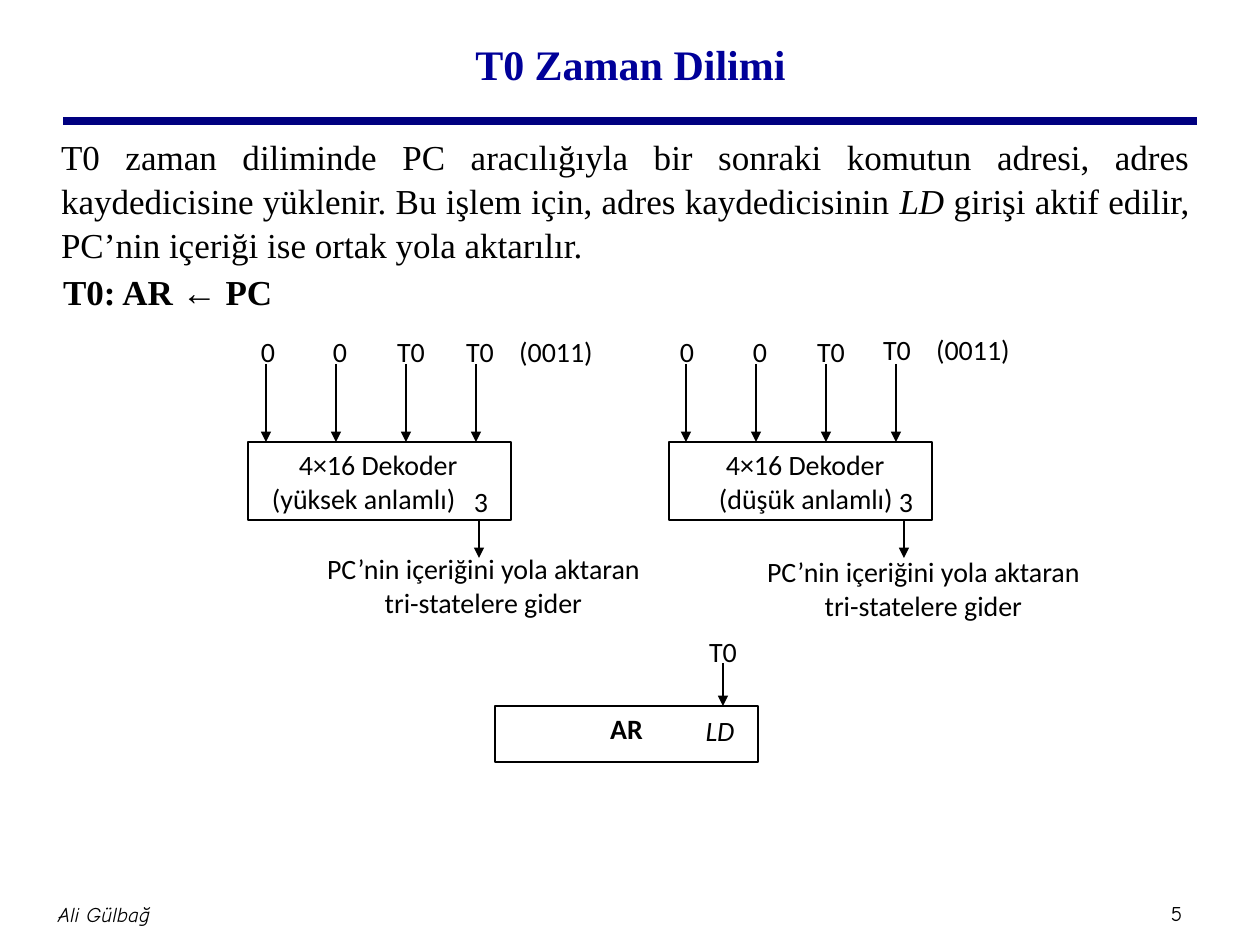
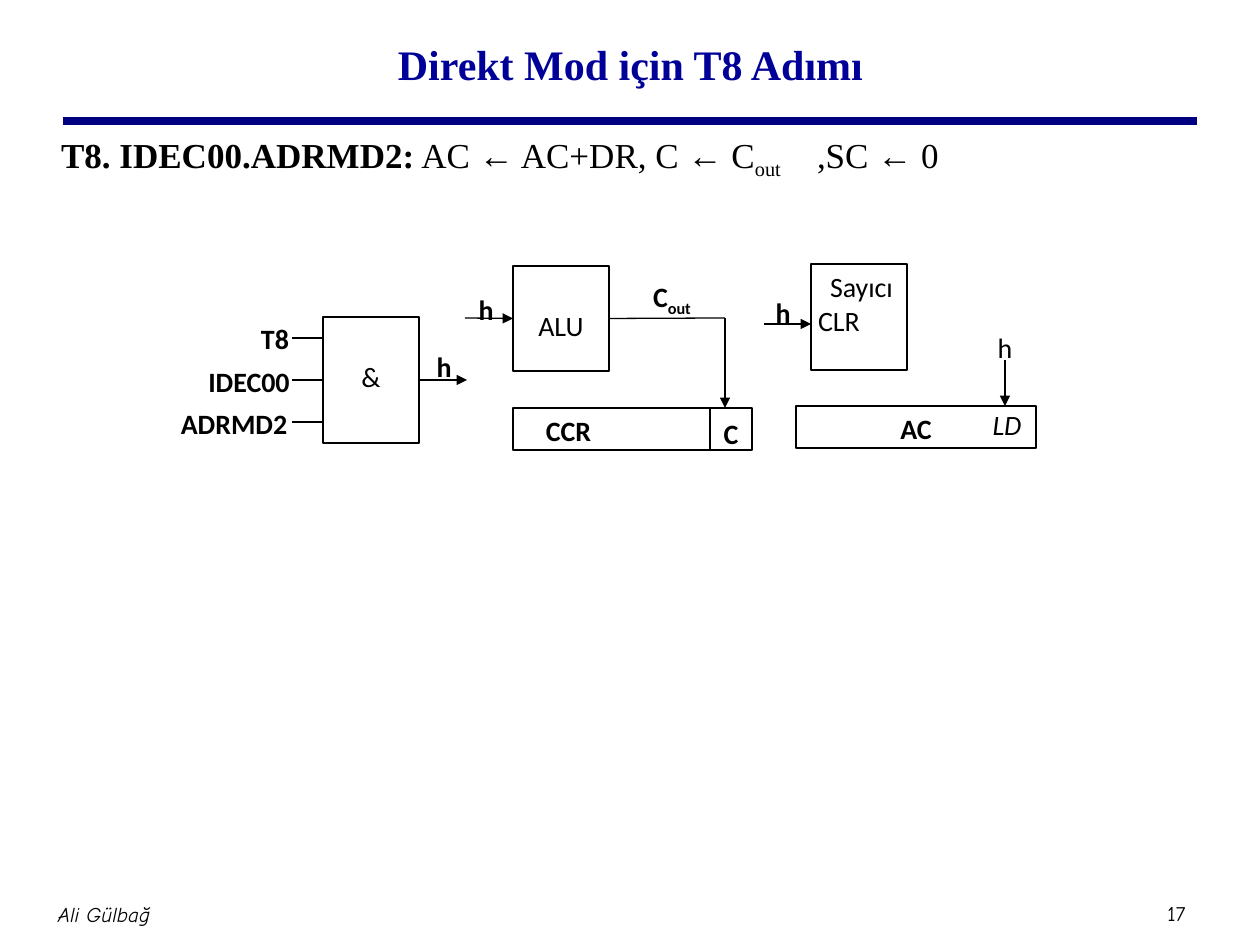
from lxml import etree
from pptx import Presentation
from pptx.dml.color import RGBColor
from pptx.enum.shapes import MSO_CONNECTOR, MSO_SHAPE
from pptx.enum.text import MSO_ANCHOR, MSO_AUTO_SIZE, PP_ALIGN
from pptx.oxml.ns import qn
from pptx.util import Pt

PX = 914400 / 126
RECT = MSO_SHAPE.RECTANGLE
LINE = MSO_CONNECTOR.STRAIGHT
TOP, MID = MSO_ANCHOR.TOP, MSO_ANCHOR.MIDDLE
LEFT, CENTER, FULL = PP_ALIGN.LEFT, PP_ALIGN.CENTER, PP_ALIGN.JUSTIFY
FIXED = MSO_AUTO_SIZE.NONE
SIDE = ("left", "top", "width", "height")
EDGE = ("margin_left", "margin_top", "margin_right", "margin_bottom")
PAD, NONE = (13, 6, 13, 6), (0, 0, 0, 0)
hue = RGBColor.from_string
BLACK, WHITE, NAVY, BLUE = "000000", "FFFFFF", "000080", "000099"

HEAD = {"name": "Times New Roman", "size": Pt(24), "bold": True}
BODY = {"name": "Times New Roman", "size": Pt(20), "bold": False}
NOTE = {"name": "Calibri", "size": Pt(16), "bold": False}
FOOT = {"name": "Comic Neue", "size": Pt(12), "bold": False}
BOLD, ITAL = {"bold": True}, {"italic": True}


def put(shape, spot, paras, look, align=CENTER, anchor=TOP, pad=PAD,
        color=BLACK, tab=None):
    """Place a shape and write paragraphs given as (indent, runs)."""
    for name, n in zip(SIDE, spot):
        setattr(shape, name, int(n * PX))
    frame = shape.text_frame
    frame.auto_size, frame.word_wrap = FIXED, True
    frame.vertical_anchor = anchor
    for name, n in zip(EDGE, pad):
        setattr(frame, name, int(n * PX))
    for i, (indent, runs) in enumerate(paras):
        para = frame.add_paragraph() if i else frame.paragraphs[0]
        props = para._p.get_or_add_pPr()
        props.set("marL", str(int(indent * PX)))
        props.set("indent", "0")
        etree.SubElement(props, qn("a:buNone"))
        if tab:
            stops = etree.SubElement(props, qn("a:tabLst"))
            etree.SubElement(stops, qn("a:tab"), pos=str(int(tab * PX)), algn="l")
        para.alignment, para.space_before = align, Pt(0)
        for words, form in runs:
            run = para.add_run()
            run.text = words
            for key, value in {**look, **form}.items():
                if key == "sub":
                    run._r.get_or_add_rPr().set("baseline", "-25000")
                else:
                    setattr(run.font, key, value)
            run.font.color.rgb = hue(color)
    return shape


def wire(slide, ends, arrow=True, start=None, stop=None, color=BLACK, width=0.75):
    """Draw a line; start and stop are (box, side) joints."""
    line = slide.shapes.add_connector(LINE, *[int(n * PX) for n in ends])
    if start:
        line.begin_connect(*start)
    if stop:
        line.end_connect(*stop)
    line.line.color.rgb, line.line.width = hue(color), Pt(width)
    if arrow:
        etree.SubElement(line.line._get_or_add_ln(), qn("a:tailEnd"), type="triangle")
    etree.SubElement(line.element.spPr, qn("a:effectLst"))
    return line


deck = Presentation()
deck.slide_width, deck.slide_height = int(1260 * PX), int(945 * PX)
layout = deck.slide_layouts[1]
for spare in list(layout.placeholders)[2:]:
    spare.element.getparent().remove(spare.element)

# Titles, body text and page numbers
pages = [
    ("T0 Zaman Dilimi", "5", 170, FULL, 1.05, None, [
        ("T0 zaman diliminde PC aracılığıyla bir sonraki komutun adresi, adres "
         "kaydedicisine yüklenir. Bu işlem için, adres kaydedicisinin ", {}),
        ("LD", ITAL),
        (" girişi aktif edilir, PC’nin içeriği ise ortak yola aktarılır.", {})]),
    ("Direkt Mod için T8 Adımı", "17", 699, LEFT, 1, 734, [
        ("T8. IDEC00.ADRMD2:", BOLD), (" AC ← AC+DR, C ← C", {}),
        ("out", {"sub": True}), ("\t,SC ← 0", {})]),
]
slides = []
for title, number, high, align, pitch, tab, runs in pages:
    slide = deck.slides.add_slide(layout)
    if not slides:
        # Rule and author, shared through the layout
        rule = wire(slide, (63, 121, 1197, 121), False, color=NAVY, width=4.5)
        name = put(slide.shapes.add_textbox(0, 0, 0, 0), (34, 897, 140, 34),
                   [(0, [("Ali Gülbağ", ITAL)])], FOOT, anchor=MID, pad=NONE)
        for part in (rule, name):
            layout.shapes.element.append(part.element)
    put(slide.shapes.title, (95, 10, 1071, 108), [(0, [(title, {})])], HEAD,
        anchor=MID, color=BLUE)
    body = put(slide.placeholders[1], (48, 127, 1155, high), [(0, runs)], BODY,
               align, tab=tab)
    body.text_frame.paragraphs[0].line_spacing = pitch
    put(slide.shapes.add_textbox(0, 0, 0, 0), (1147, 896, 59, 34),
        [(0, [(number, {})])], FOOT, anchor=MID, pad=NONE)
    slides.append(slide)
first, second = slides

put(first.shapes.add_textbox(0, 0, 0, 0), (50, 264, 244, 55),
    [(0, [("T0: AR ← PC", BOLD)])], BODY, LEFT)

# Boxes: slide, name, place, paragraphs, alignment, anchor, padding
boxes = [
    (first, "high", (248, 442, 263, 78),
     [(38, [("4×16 Dekoder", {})]), (11, [("(yüksek anlamlı)", {})])], LEFT, TOP, PAD),
    (first, "low", (669, 442, 263, 78),
     [(44, [("4×16 Dekoder", {})]), (37, [("(düşük anlamlı)", {})])], LEFT, TOP, PAD),
    (first, "AR", (495, 706, 263, 56), [(0, [("AR", BOLD)])], CENTER, TOP, PAD),
    (second, "and", (323, 317, 96, 126), [(0, [("&", {})])], CENTER, MID, (0, 0, 0, 8)),
    (second, "ALU", (513, 266, 96, 105), [(0, [("ALU", {})])], CENTER, MID, (0, 13, 0, 0)),
    (second, "count", (811, 264, 96, 106),
     [(19, [("Sayıcı", {})]), (7, [("CLR", {})])], LEFT, TOP, (0, 6, 0, 6)),
    (second, "CCR", (513, 408, 239, 42), [(20, [("CCR", BOLD)])], LEFT, TOP, PAD),
    (second, "AC", (796, 406, 240, 42), [(0, [("AC", BOLD)])], CENTER, TOP, PAD),
]
box = {}
for slide, key, spot, paras, align, anchor, pad in boxes:
    shape = slide.shapes.add_shape(RECT, 0, 0, 0, 0)
    shape.shadow.inherit = False
    shape.fill.solid()
    shape.fill.fore_color.rgb = hue(WHITE)
    shape.line.color.rgb, shape.line.width = hue(BLACK), Pt(0.75)
    box[key] = put(shape, spot, paras, NOTE, align, anchor, pad)

# Decoder inputs, outputs and notes
for left, out, spot in ((266, 479, (311, 546, 345, 97)),
                        (686, 904, (746, 549, 355, 97))):
    for i in range(4):
        wire(first, (left + 70 * i, 364, left + 70 * i, 442))
    wire(first, (out, 520, out, 558))
    put(first.shapes.add_textbox(0, 0, 0, 0), spot,
        [(0, [("PC’nin içeriğini yola aktaran tri-statelere gider", {})])], NOTE)

# Other wires
wire(first, (723, 663, 723, 706))
for y in (338, 380, 422):
    wire(second, (292, y, 323, y), False, stop=(box["and"], 1) if y == 380 else None)
wire(second, (419, 380, 467, 380), start=(box["and"], 3))
wire(second, (465, 318, 513, 318), stop=(box["ALU"], 1))
wire(second, (609, 318, 725, 318), False, start=(box["ALU"], 3))
wire(second, (725, 318, 725, 408))
wire(second, (764, 324, 811, 324))
wire(second, (1005, 360, 1005, 406))
wire(second, (710, 408, 710, 450), False)

# Labels: text, middle x, middle y, width, format
labels = [
    (first, [
        ("0", 268, 351, 40, {}), ("0", 340, 351, 40, {}), ("T0", 411, 351, 50, {}),
        ("T0", 480, 351, 50, {}), ("(0011)", 556, 351, 90, {}),
        ("0", 687, 351, 40, {}), ("0", 760, 351, 40, {}), ("T0", 831, 351, 50, {}),
        ("T0", 897, 349, 50, {}), ("(0011)", 973, 349, 90, {}),
        ("3", 481, 501, 30, {}), ("3", 906, 501, 30, {}),
        ("T0", 723, 651, 50, {}), ("LD", 720, 730, 50, ITAL)]),
    (second, [
        ("T8", 275, 338, 50, BOLD), ("IDEC00", 249, 381, 100, BOLD),
        ("ADRMD2", 234, 423, 120, BOLD), ("h", 444, 366, 30, BOLD),
        ("h", 486, 309, 30, BOLD), ("h", 783, 312, 30, BOLD),
        ("C", 731, 433, 30, BOLD), ("h", 1005, 347, 30, {}),
        ("LD", 1007, 424, 50, ITAL)]),
]
for slide, tags in labels:
    for words, x, y, wide, form in tags:
        put(slide.shapes.add_textbox(0, 0, 0, 0), (x - wide / 2, y - 17, wide, 34),
            [(0, [(words, form)])], NOTE, anchor=MID, pad=NONE)
put(second.shapes.add_textbox(0, 0, 0, 0), (632, 282, 80, 34),
    [(0, [("C", BOLD), ("out", {"bold": True, "sub": True})])], NOTE,
    anchor=MID, pad=NONE)

deck.save("out.pptx")
